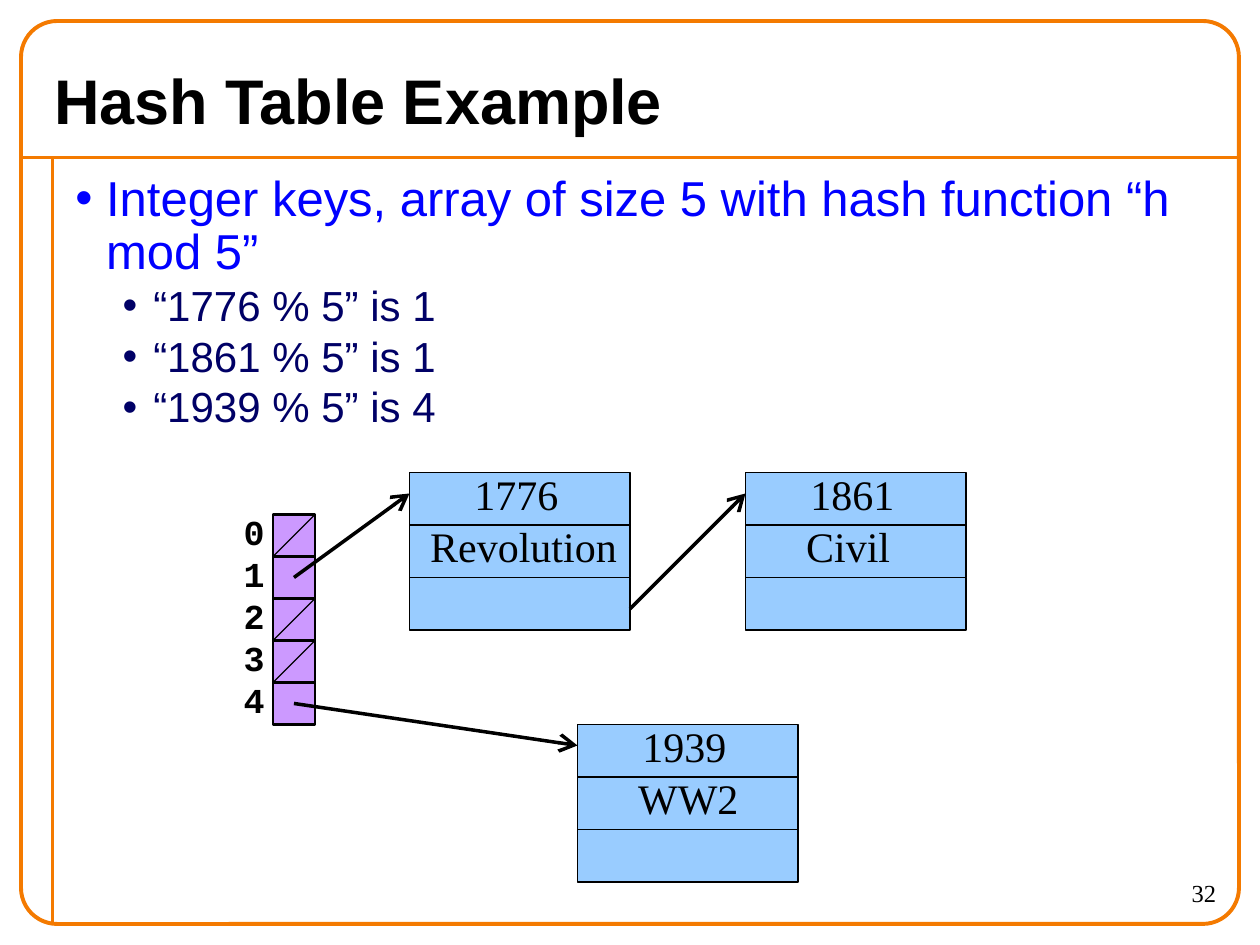
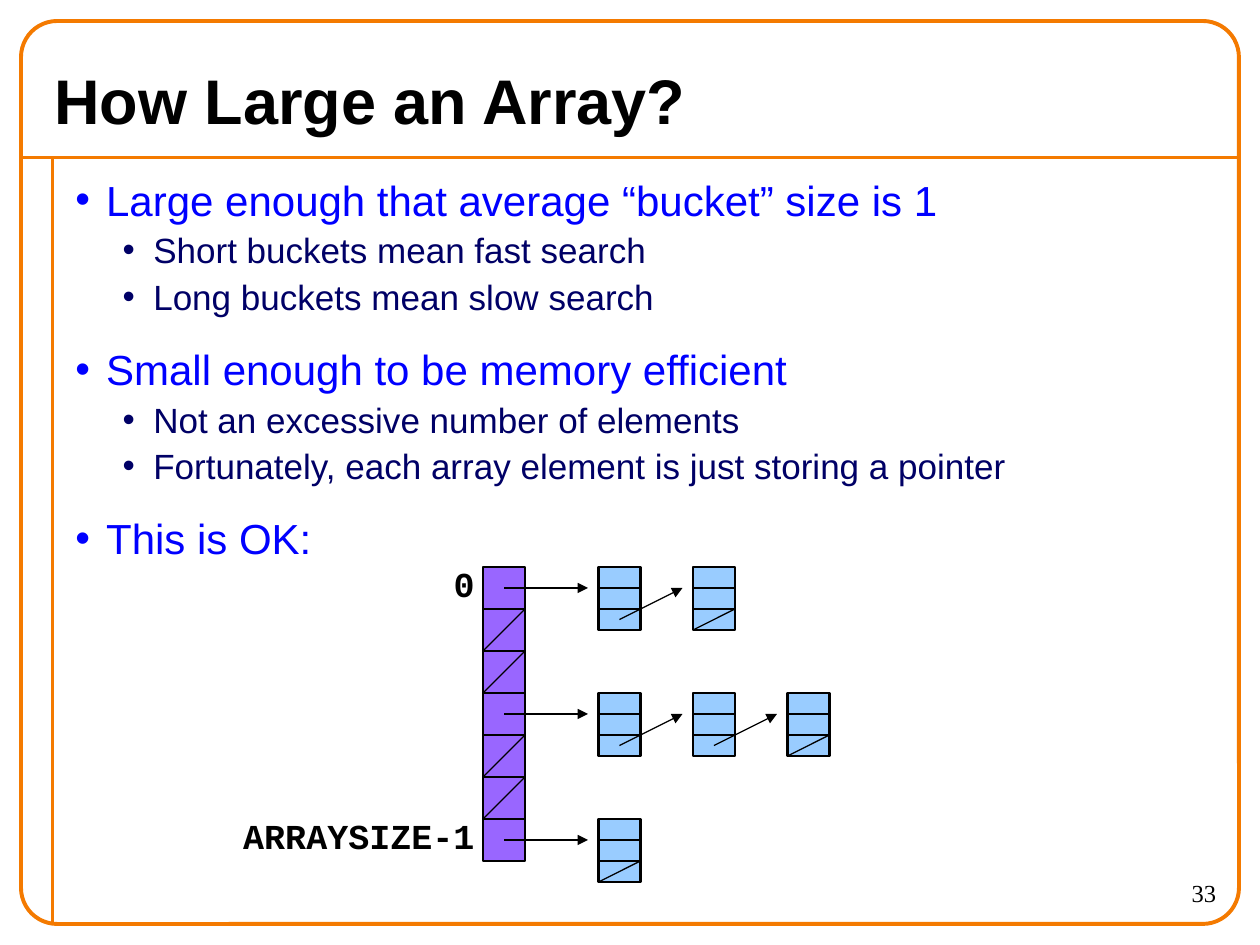
"""Build two slides on hash tables: a worked example and the choice of array size."""
import dataclasses

import lxml.etree
import pptx
import pptx.dml.color
import pptx.enum.shapes
import pptx.enum.text
import pptx.oxml.ns
import pptx.util

GRID = 2.54 / 12
CELL = 4
Cm, Pt = pptx.util.Cm, pptx.util.Pt
RGB = pptx.dml.color.RGBColor.from_string
qn = pptx.oxml.ns.qn
ALIGN = pptx.enum.text.PP_ALIGN
SHAPE = pptx.enum.shapes.MSO_SHAPE


@dataclasses.dataclass(frozen=True)
class Style:
    font: str
    size: float
    color: str = "000000"
    bold: bool = False
    align: ALIGN = ALIGN.LEFT
    level: int = 0
    hanging: float = 0
    space: float = 0
    spacing: float = 1.0


@dataclasses.dataclass(frozen=True)
class Theme:
    frame: str = "F47A00"
    ink: str = "000000"
    node: str = "99CCFF"
    small_array: str = "CC99FF"
    large_array: str = "9966FF"
    title: Style = Style("Arial", 36, bold=True)
    number: Style = Style("Times New Roman", 14, align=ALIGN.RIGHT)
    entry: Style = Style("Times New Roman", 24)
    index: Style = Style("Courier New", 20, bold=True, align=ALIGN.CENTER)
    last_index: Style = Style("Courier New", 20, bold=True, align=ALIGN.RIGHT)
    point: Style = Style("Arial", 24, "0000FF", hanging=0.62, space=0.625)
    detail: Style = Style("Arial", 20, "000066", level=1, hanging=1.57, space=0.125)


theme = Theme()
big_point = dataclasses.replace(theme.point, size=28, spacing=0.9)
big_detail = dataclasses.replace(theme.detail, size=24, spacing=0.9)


def write(slide, box, lines, wrap=True):
    """Put styled lines in a text box measured in grid units."""
    frame = slide.shapes.add_textbox(*[Cm(n * GRID) for n in box]).text_frame
    frame.word_wrap = wrap
    if not wrap:
        frame.auto_size = pptx.enum.text.MSO_AUTO_SIZE.SHAPE_TO_FIT_TEXT
    for row, (text, style) in enumerate(lines):
        paragraph = frame.add_paragraph() if row else frame.paragraphs[0]
        paragraph.text = text
        paragraph.alignment = style.align
        paragraph.level = style.level
        if style.hanging:
            properties = paragraph._p.get_or_add_pPr()
            properties.set("marL", str(Cm(style.hanging)))
            properties.set("indent", str(-Cm(theme.point.hanging)))
            tint = lxml.etree.SubElement(properties, qn("a:buClr"))
            lxml.etree.SubElement(tint, qn("a:srgbClr"), val=style.color)
            lxml.etree.SubElement(properties, qn("a:buFont"), typeface=style.font)
            lxml.etree.SubElement(properties, qn("a:buChar"), char="•")
            paragraph.line_spacing = style.spacing
            if row:
                paragraph.space_before = Pt(style.size * style.space)
        paragraph.font.name = style.font
        paragraph.font.size = Pt(style.size)
        paragraph.font.bold = style.bold
        paragraph.font.color.rgb = RGB(style.color)
    return frame


def stroke(slide, ends, color=theme.ink, weight=0.75, head=None, head_size="med"):
    """Draw a line between two grid points, with an arrowhead if named."""
    line = slide.shapes.add_connector(
        pptx.enum.shapes.MSO_CONNECTOR.STRAIGHT, *[Cm(n * GRID) for n in ends])
    line.line.color.rgb = RGB(color)
    line.line.width = Pt(weight)
    properties = line.element.spPr
    if head:
        lxml.etree.SubElement(properties.find(qn("a:ln")), qn("a:tailEnd"),
                              type=head, w=head_size, len=head_size)
    lxml.etree.SubElement(properties, qn("a:effectLst"))


deck = pptx.Presentation()
deck.slide_width, deck.slide_height = Cm(25.4), Cm(19.05)

pages = [
    (32, "Hash Table Example", 27, [
        ("Integer keys, array of size 5 with hash function “h mod 5”", big_point),
        ("“1776 % 5” is 1", big_detail),
        ("“1861 % 5” is 1", big_detail),
        ("“1939 % 5” is 4", big_detail),
    ]),
    (33, "How Large an Array?", 72, [
        ("Large enough that average “bucket” size is 1", theme.point),
        ("Short buckets mean fast search", theme.detail),
        ("Long buckets mean slow search", theme.detail),
        ("Small enough to be memory efficient", theme.point),
        ("Not an excessive number of elements", theme.detail),
        ("Fortunately, each array element is just storing a pointer", theme.detail),
        ("This is OK:", theme.point),
    ]),
]
for number, title, body_height, body in pages:
    slide = deck.slides.add_slide(deck.slide_layouts[6])
    stroke(slide, (2, 15, 118, 15), theme.frame, 2.25)
    stroke(slide, (5, 15, 5, 88), theme.frame, 2.25)
    border = slide.shapes.add_shape(
        SHAPE.ROUNDED_RECTANGLE, *[Cm(n * GRID) for n in (2, 2, 116, 86)])
    border.adjustments[0] = 0.04
    border.shadow.inherit = False
    border.fill.background()
    border.line.color.rgb = RGB(theme.frame)
    border.line.width = Pt(2.25)
    write(slide, (105, 83, 12, 5), [(str(number), theme.number)])
    heading = write(slide, (4, 5, 112, 9), [(title, theme.title)])
    heading.vertical_anchor = pptx.enum.text.MSO_ANCHOR.MIDDLE
    write(slide, (6, 16, 111, body_height), body)

example, sizing = deck.slides

wars = [
    (39, 45, "1776", "Revolution", 0.8, 20.4),
    (71, 45, "1861", "Civil", 4.6, 10.6),
    (55, 69, "1939", "WW2", 4.6, 12.2),
]
example_array = (26, 49)
sizing_array = (46, 54)
buckets = {0: 2, 3: 3, 6: 1}
bucket_left, bucket_step = 57, 9

stacks = [(example.shapes, x, y, 3, 21, 5, theme.node, 0.75) for x, y, *_ in wars]
stacks.append((example.shapes, *example_array, 5, CELL, CELL, theme.small_array, 1.25))
stacks.append((sizing.shapes, *sizing_array, 7, CELL, CELL, theme.large_array, 1.25))
for slot, length in buckets.items():
    for place in range(length):
        stacks.append((sizing.shapes.add_group_shape().shapes,
                       bucket_left + place * bucket_step,
                       sizing_array[1] + slot * CELL, 3, CELL, 2, theme.node, 1.25))

for parent, left, top, rows, width, height, fill, weight in stacks:
    for row in range(rows):
        cell = parent.add_shape(
            SHAPE.RECTANGLE,
            *[Cm(n * GRID) for n in (left, top + row * height, width, height)])
        cell.shadow.inherit = False
        cell.fill.solid()
        cell.fill.fore_color.rgb = RGB(fill)
        cell.line.color.rgb = RGB(theme.ink)
        cell.line.width = Pt(weight)

for left, top, year, war, inset, width in wars:
    write(example, (left + 5, top - 1, 10.6, 6), [(year, theme.entry)], wrap=False)
    write(example, (left + inset, top + 4, width, 6), [(war, theme.entry)], wrap=False)
for slot in range(5):
    write(example, (22, example_array[1] - 1 + slot * CELL, 4.4, 5.3),
          [(str(slot), theme.index)], wrap=False)
write(sizing, (42, 53, 4.4, 5.3), [("0", theme.index)], wrap=False)
write(sizing, (21.9, 77, 24.5, 5.3), [("ARRAYSIZE-1", theme.last_index)], wrap=False)

for slide, (left, top), empty in [
        (example, example_array, (0, 2, 3)), (sizing, sizing_array, (1, 2, 4, 5))]:
    for slot in empty:
        y = top + slot * CELL
        stroke(slide, (left + CELL, y, left, y + CELL))

for ends in [(28, 55, 39, 47), (28, 67, 55, 71), (60, 58, 71, 47)]:
    stroke(example, ends, weight=2, head="arrow", head_size="lg")

for slot, length in buckets.items():
    top = sizing_array[1] + slot * CELL
    stroke(sizing, (48, top + 2, 56, top + 2), head="triangle")
    for place in range(length):
        left = bucket_left + place * bucket_step
        if place < length - 1:
            stroke(sizing, (left + 2, top + 5, left + 8, top + 2), head="triangle")
        else:
            stroke(sizing, (left + CELL, top + 4, left, top + 6))

deck.save("out.pptx")
